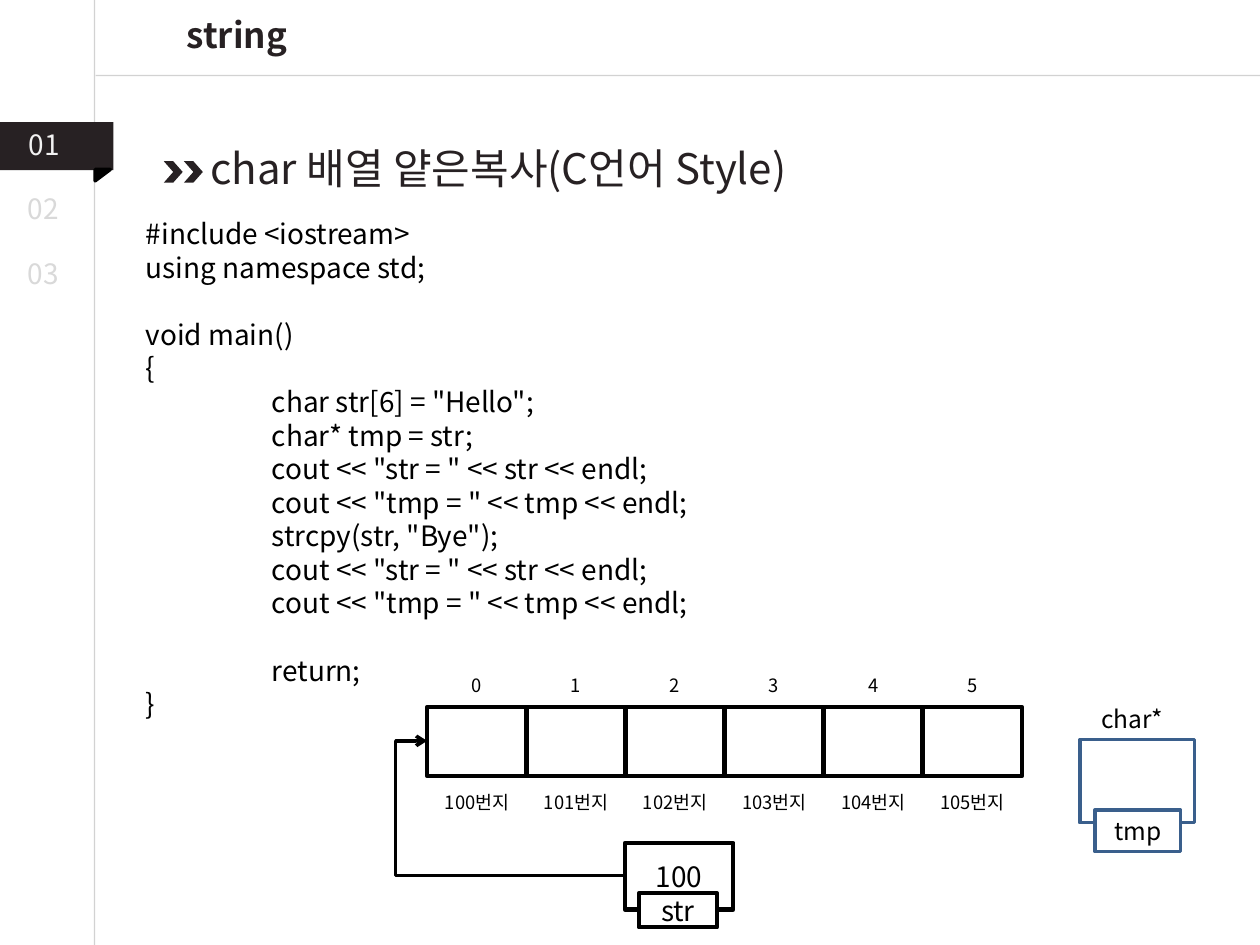
from lxml.etree import SubElement
from pptx import Presentation
from pptx.dml.color import RGBColor
from pptx.enum.shapes import MSO_CONNECTOR, MSO_SHAPE
from pptx.enum.text import MSO_ANCHOR, PP_ALIGN
from pptx.oxml.ns import qn
from pptx.util import Inches, Pt

FONT = "Noto Sans CJK KR"
BLACK = RGBColor(0, 0, 0)
WHITE = RGBColor(255, 255, 255)
DARK = RGBColor(0x27, 0x21, 0x23)
PALE = RGBColor(0xF2, 0xF2, 0xF2)
GRAY = RGBColor(0xD9, 0xD9, 0xD9)
RULE = RGBColor(0xA6, 0xA6, 0xA6)
BLUE = RGBColor(0x3A, 0x5F, 0x8C)

CODE = """#include <iostream>
using namespace std;

void main()
{
\tchar str[6] = "Hello";
\tchar* tmp = str;
\tcout << "str = " << str << endl;
\tcout << "tmp = " << tmp << endl;
\tstrcpy(str, "Bye");
\tcout << "str = " << str << endl;
\tcout << "tmp = " << tmp << endl;

\treturn;
}"""


def write(frame, text, size, color=BLACK, bold=False, align=PP_ALIGN.LEFT):
    """Fill a frame; empty lines become space, leading tabs a 1 inch indent."""
    gap, first = 0, True
    for line in text.split("\n"):
        if not line:
            gap = size * 1.2
            continue
        para = frame.paragraphs[0] if first else frame.add_paragraph()
        first = False
        para.text, para.alignment = line.lstrip("\t"), align
        para.space_before = Pt(gap)
        gap = 0
        font = para.font
        font.name, font.size, font.bold = FONT, Pt(size), bold
        font.color.rgb = color
        props = para._p.pPr
        SubElement(props.find(qn("a:defRPr")), qn("a:ea"), typeface=FONT)
        if line.startswith("\t"):
            props.set("marL", str(Inches(1)))
            props.set("indent", "0")


def add_text(slide, text, box, size, color=BLACK, wrap=True,
             align=PP_ALIGN.LEFT):
    """Add a text box; box is left, top, width, height in inches."""
    frame = slide.shapes.add_textbox(*map(Inches, box)).text_frame
    frame.word_wrap = wrap
    write(frame, text, size, color, align=align)


def add_block(slide, kind, box, fill=None, line=None, width=2.5, text="",
              size=16):
    """Add a preset shape with optional fill, outline and centred text."""
    shape = slide.shapes.add_shape(kind, *map(Inches, box))
    shape.shadow.inherit = False
    if fill is None:
        shape.fill.background()
    else:
        shape.fill.solid()
        shape.fill.fore_color.rgb = fill
    if line is None:
        shape.line.fill.background()
    else:
        shape.line.color.rgb = line
        shape.line.width = Pt(width)
    if text:
        shape.text_frame.vertical_anchor = MSO_ANCHOR.MIDDLE
        write(shape.text_frame, text, size, align=PP_ALIGN.CENTER)
    return shape


def add_line(slide, kind, ends, color, width):
    """Add a connector without shadow."""
    line = slide.shapes.add_connector(kind, *map(Inches, ends))
    line.line.color.rgb = color
    line.line.width = Pt(width)
    SubElement(line._element.spPr, qn("a:effectLst"))
    return line


def add_rule(slide, ends):
    """Add a thin half-transparent frame line."""
    rule = add_line(slide, MSO_CONNECTOR.STRAIGHT, ends, RULE, 0.75)
    tone = next(rule._element.iter(qn("a:srgbClr")))
    SubElement(tone, qn("a:alpha"), val="50000")


def add_arrow(slide):
    """Add the bent arrow from the str box back to the first cell."""
    arrow = add_line(slide, MSO_CONNECTOR.ELBOW, (3.39, 5.88, 4.96, 6.95),
                     BLACK, 2)
    props = arrow._element.spPr
    props.find(qn("a:xfrm")).set("rot", "10800000")
    geom = props.find(qn("a:prstGeom"))
    guides = geom.find(qn("a:avLst"))
    if guides is None:
        guides = SubElement(geom, qn("a:avLst"))
    SubElement(guides, qn("a:gd"), name="adj1", fmla="val 115900")
    SubElement(props.find(qn("a:ln")), qn("a:tailEnd"), type="arrow")


def add_title(slide, text):
    """Place and format the title placeholder."""
    title = slide.shapes.title
    title.left, title.top = Inches(0.81), Inches(0.06)
    title.width, title.height = Inches(2.14), Inches(0.44)
    title.text_frame.vertical_anchor = MSO_ANCHOR.TOP
    write(title.text_frame, text, 20, DARK, True, PP_ALIGN.CENTER)


def add_menu(slide):
    """Add the frame lines, the ribbon and the section numbers."""
    add_rule(slide, (0.75, 0, 0.75, 7.5))
    add_rule(slide, (0.76, 0.6, 10, 0.6))
    add_block(slide, MSO_SHAPE.RECTANGLE, (0, 0.97, 0.9, 0.38), DARK)
    fold = add_block(slide, MSO_SHAPE.RIGHT_TRIANGLE,
                     (0.77, 1.33, 0.09, 0.12), BLACK, BLACK, 2)
    fold.rotation = 90
    add_text(slide, "01", (0.13, 0.96, 0.59, 0.37), 16, PALE)
    for text, top in (("02", 1.47), ("03", 1.99)):
        add_text(slide, text, (0.12, top, 0.49, 0.37), 16, GRAY)


def add_array(slide):
    """Add six memory cells with index above and address below."""
    first, last, count = 3.39, 7.32, 6
    step = (last - first) / (count - 1)
    for i in range(count):
        left = first + i * step
        add_block(slide, MSO_SHAPE.RECTANGLE, (left, 5.61, 0.79, 0.55),
                  line=BLACK)
        for text, top in ((str(i), 5.3), (f"{100 + i}번지", 6.23)):
            add_text(slide, text, (left, top, 0.79, 0.29), 10.5,
                     wrap=False, align=PP_ALIGN.CENTER)


def main():
    """Build the slide and save it."""
    deck = Presentation()
    deck.slide_width, deck.slide_height = Inches(10), Inches(7.5)
    slide = deck.slides.add_slide(deck.slide_layouts[5])
    box = MSO_SHAPE.RECTANGLE
    add_menu(slide)
    add_title(slide, "string")
    for left in (1.3, 1.46):
        add_block(slide, MSO_SHAPE.CHEVRON, (left, 1.28, 0.15, 0.17), DARK)
    add_text(slide, "char 배열 얕은복사(C언어 Style)",
             (1.57, 1.08, 5.24, 0.5), 24, DARK)
    add_text(slide, CODE, (1.06, 1.67, 8.4, 4.24), 16)
    add_array(slide)
    add_block(slide, box, (4.96, 6.69, 0.86, 0.53), line=BLACK, text="100")
    add_block(slide, box, (5.07, 7.09, 0.62, 0.27), WHITE, BLACK, text="str")
    add_arrow(slide)
    add_block(slide, box, (8.57, 5.87, 0.91, 0.66), line=BLUE, width=2)
    add_block(slide, box, (8.69, 6.43, 0.68, 0.33), WHITE, BLUE, 2, "tmp", 14)
    add_text(slide, "char*", (8.64, 5.54, 0.78, 0.34), 14, wrap=False)
    deck.save("out.pptx")


main()
